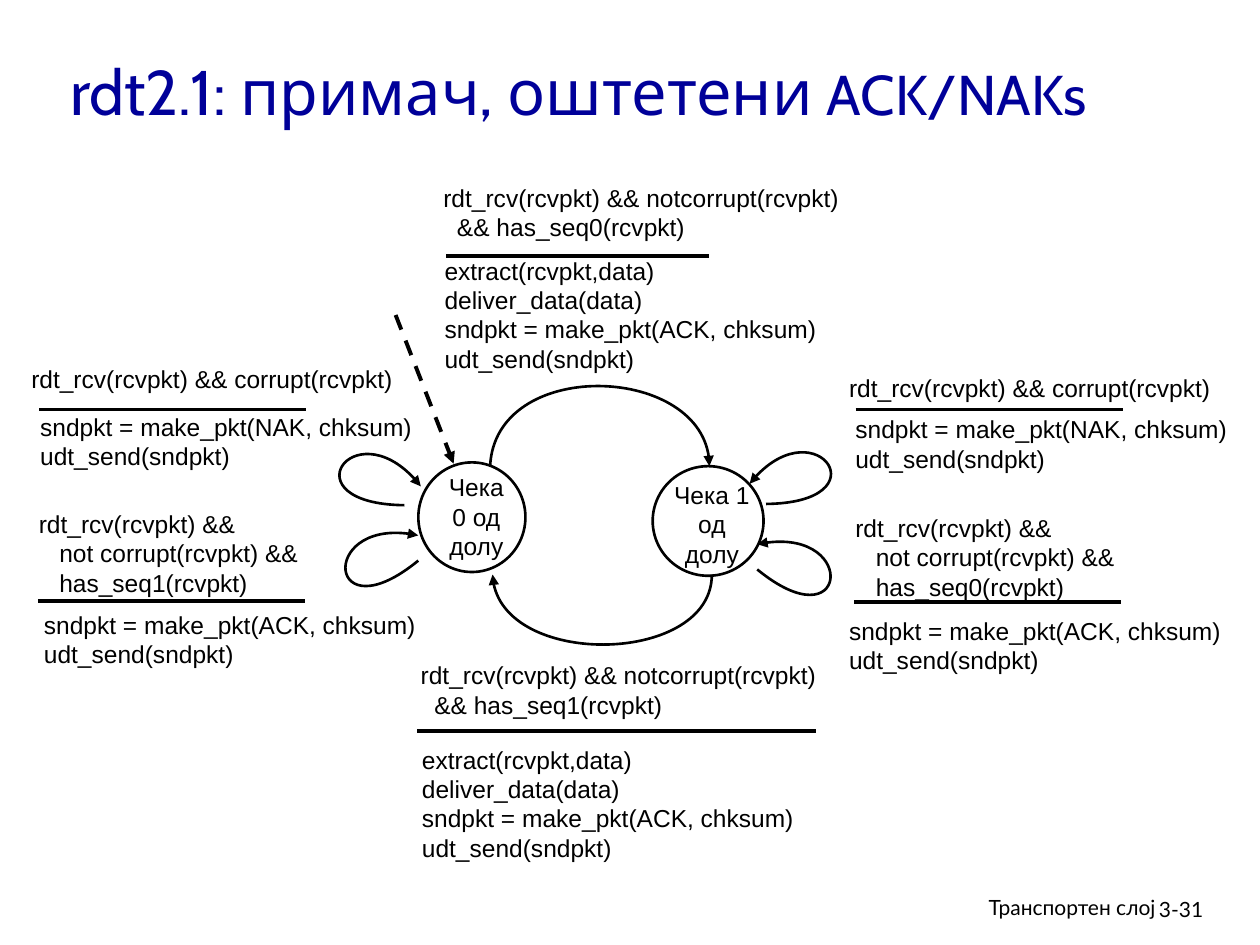
from lxml import etree
from pptx import Presentation
from pptx import util as u
from pptx.dml.color import RGBColor
from pptx.enum import dml, shapes, text
from pptx.oxml import ns

SLIDE_WIDTH, SLIDE_HEIGHT = u.Inches(10), u.Inches(7.5)
COLUMNS, ROWS = 100, 75
BLACK = RGBColor(0x00, 0x00, 0x00)
WHITE = RGBColor(0xFF, 0xFF, 0xFF)
NAVY = RGBColor(0x00, 0x00, 0x99)
SPACE_WIDTH = u.Pt(3.9)

CORRUPT = ["rdt_rcv(rcvpkt) && corrupt(rcvpkt)"]
SEND_NAK = ["sndpkt = make_pkt(NAK, chksum)", "udt_send(sndpkt)"]
SEND_ACK = ["sndpkt = make_pkt(ACK, chksum)", "udt_send(sndpkt)"]
DELIVER = ["extract(rcvpkt,data)", "deliver_data(data)"] + SEND_ACK


def column(value):
    return round(SLIDE_WIDTH * value / COLUMNS)


def row(value):
    return round(SLIDE_HEIGHT * value / ROWS)


def place(left, top, width, height):
    return column(left), row(top), column(width), row(height)


def expected(sequence):
    return ["rdt_rcv(rcvpkt) && notcorrupt(rcvpkt)", (2, f"&& has_seq{sequence}(rcvpkt)")]


def duplicate(sequence):
    return ["rdt_rcv(rcvpkt) &&", (3, "not corrupt(rcvpkt) &&"), (3, f"has_seq{sequence}(rcvpkt)")]


def style(paragraph, font, size, color):
    paragraph.font.name = font
    paragraph.font.size = u.Pt(size)
    paragraph.font.color.rgb = color


def add_text(slide, box, lines, font="Arial", size=14, color=BLACK, align=text.PP_ALIGN.LEFT):
    frame = slide.shapes.add_textbox(*place(*box)).text_frame
    frame.word_wrap = True
    for index, line in enumerate(lines):
        spaces, words = line if isinstance(line, tuple) else (0, line)
        paragraph = frame.paragraphs[0] if index == 0 else frame.add_paragraph()
        paragraph.text = words
        paragraph.alignment = align
        style(paragraph, font, size, color)
        if spaces:
            paragraph._p.get_or_add_pPr().set("marL", str(spaces * SPACE_WIDTH))
    return frame


def add_title(slide):
    frame = add_text(slide, (4.6, 2, 91, 10.3), ["rdt2.1: примач, оштетени "], "Cabin", 36, NAVY)
    frame.vertical_anchor = text.MSO_ANCHOR.MIDDLE
    run = frame.paragraphs[0].add_run()
    run.text = "ACK/NAKs"
    run.font.size = u.Pt(32)


def add_arrowhead(shape):
    etree.SubElement(shape.line._get_or_add_ln(), ns.qn("a:tailEnd"), type="triangle")


def add_line(slide, start, end):
    line = slide.shapes.add_connector(
        shapes.MSO_CONNECTOR.STRAIGHT, column(start[0]), row(start[1]), column(end[0]), row(end[1])
    )
    line.line.color.rgb = BLACK
    line.line.width = u.Pt(2.25)
    etree.SubElement(line._element.spPr, ns.qn("a:effectLst"))
    return line


def add_initial_arrow(slide):
    arrow = add_line(slide, (31.4, 25), (36, 36.8))
    arrow.line.dash_style = dml.MSO_LINE.DASH
    add_arrowhead(arrow)


def add_curve(slide, *points):
    start, *rest = [(column(x), row(y)) for x, y in points]
    builder = slide.shapes.build_freeform(*start)
    builder.add_line_segments(rest, close=False)
    curve = builder.convert_to_shape()
    outline = curve._element.spPr.find(".//" + ns.qn("a:path"))
    bezier = etree.SubElement(outline, ns.qn("a:cubicBezTo"))
    for segment in outline.findall(ns.qn("a:lnTo")):
        bezier.append(segment[0])
        outline.remove(segment)
    curve.fill.background()
    curve.shadow.inherit = False
    curve.line.color.rgb = BLACK
    curve.line.width = u.Pt(1.5)
    add_arrowhead(curve)


def add_state(slide, circle, label_box, lines):
    state = slide.shapes.add_shape(shapes.MSO_SHAPE.OVAL, *place(*circle))
    state.shadow.inherit = False
    state.fill.solid()
    state.fill.fore_color.rgb = WHITE
    state.line.color.rgb = BLACK
    state.line.width = u.Pt(1.5)
    add_text(slide, label_box, lines, align=text.PP_ALIGN.CENTER)


def add_transition(slide, event_box, event, rule, action_box, action):
    left, top, width = rule
    add_text(slide, event_box, event)
    add_line(slide, (left, top), (left + width, top))
    add_text(slide, action_box, action)


def main():
    presentation = Presentation()
    presentation.slide_width, presentation.slide_height = SLIDE_WIDTH, SLIDE_HEIGHT
    slide = presentation.slides.add_slide(presentation.slide_layouts[6])

    add_title(slide)
    add_state(slide, (33.2, 36.7, 8.5, 8.7), (33.4, 37, 8.8, 6.7), ["Чека", "0 од долу"])
    add_state(slide, (51.8, 37, 8.8, 8.7), (52.1, 37.6, 8.8, 6.7), ["Чека 1 од", "долу"])
    add_initial_arrow(slide)

    for points in [
        [(38.9, 37), (39.3, 28.4), (56.3, 28.9), (56.3, 37)],
        [(56.5, 45.6), (56.5, 52.7), (39.4, 53.1), (39.1, 45.6)],
        [(60.8, 40), (70.1, 39.9), (64.6, 32), (59.5, 38.4)],
        [(60.1, 45.2), (67.3, 51.1), (68.2, 41.5), (60.1, 43.2)],
        [(32.1, 40.1), (22.8, 40), (28.3, 32.1), (33.4, 38.6)],
        [(33.2, 44.5), (26, 50.4), (25.2, 40.8), (33.2, 42.5)],
    ]:
        add_curve(slide, *points)

    for transition in [
        ((34.2, 14, 43.5, 6.2), expected(0), (35.4, 20.3, 20.9), (34.3, 19.8, 38, 7.7), DELIVER),
        ((32.4, 51.9, 39.2, 6.2), expected(1), (33.1, 58, 31.7), (32.5, 58.6, 42.1, 10.9), DELIVER),
        ((1.5, 28.4, 31.4, 6.7), CORRUPT, (3.1, 32.5, 21.2), (2.2, 32.2, 33.1, 4.5), SEND_NAK),
        ((2.1, 39.9, 28.7, 6.7), duplicate(1), (3, 47.7, 21.2), (2.5, 47.9, 32.2, 4.5), SEND_ACK),
        ((66.4, 29.1, 31.4, 6.7), CORRUPT, (67.9, 32.5, 21.2), (66.9, 32.4, 33.1, 4.5), SEND_NAK),
        ((66.9, 40.2, 28.7, 6.7), duplicate(0), (67.8, 47.8, 21.2), (66.4, 48.4, 32.2, 4.5), SEND_ACK),
    ]:
        add_transition(slide, *transition)

    add_text(slide, (61, 70.5, 31.7, 3.1), ["Транспортен слој"], "Lato", 12, align=text.PP_ALIGN.RIGHT)
    add_text(slide, (91, 70.7, 7.4, 3), ["3-31"], "Lato", 12)
    presentation.save("out.pptx")


if __name__ == "__main__":
    main()
